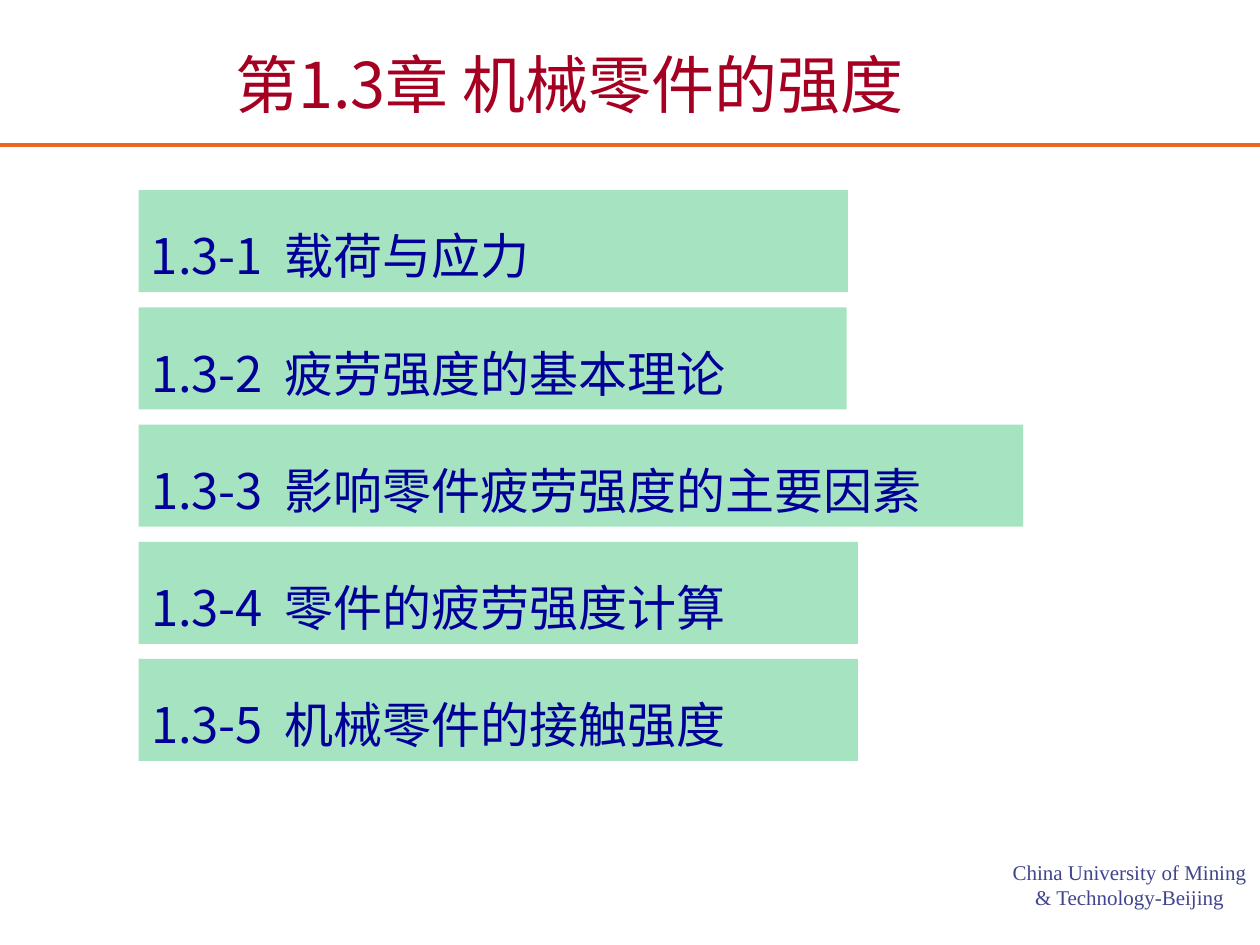
from lxml.etree import SubElement
from pptx import Presentation
from pptx.dml.color import RGBColor
from pptx.enum.shapes import MSO_CONNECTOR, MSO_SHAPE
from pptx.enum.text import MSO_ANCHOR, MSO_AUTO_SIZE, PP_ALIGN
from pptx.oxml.ns import qn
from pptx.util import Inches, Pt

SANS = "Noto Sans CJK SC"
TITLE = {"name": SANS, "size": Pt(36), "color": "A50021"}
ITEM = {"name": SANS, "size": Pt(28), "color": "000099"}
SCHOOL = {"name": "Times New Roman", "size": Pt(12), "color": "40458C"}
TOPICS = [
    ("载荷与应力", 56.3),
    ("疲劳强度的基本理论", 56.2),
    ("影响零件疲劳强度的主要因素", 70.2),
    ("零件的疲劳强度计算", 57.1),
    ("机械零件的接触强度", 57.1),
]


def tint(code):
    return RGBColor.from_string(code)


class Deck:
    unit = Inches(0.1)

    def __init__(self):
        self.deck = Presentation()
        self.deck.slide_width = Inches(10)
        self.deck.slide_height = Inches(7.5)
        self.slide = self.deck.slides.add_slide(self.deck.slide_layouts[6])
        self.shapes = self.slide.shapes

    def grid(self, *spans):
        return [round(span * self.unit) for span in spans]

    def fill_text(self, shape, text, style, frame, para):
        body = shape.text_frame
        for key, value in {"word_wrap": True, **frame}.items():
            setattr(body, key, value)
        line = body.paragraphs[0]
        for key, value in para.items():
            setattr(line, key, value)
        run = line.add_run()
        run.text = text
        for key, value in style.items():
            if key == "color":
                run.font.color.rgb = tint(value)
            else:
                setattr(run.font, key, value)
        SubElement(run.font._element, qn("a:ea")).set("typeface", style["name"])

    def label(self, area, text, style, frame, align):
        box = self.shapes.add_textbox(*self.grid(*area))
        self.fill_text(box, text, style, frame, {"alignment": align})

    def bar(self, area, text):
        box = self.shapes.add_shape(MSO_SHAPE.RECTANGLE, *self.grid(*area))
        box.shadow.inherit = False
        box.line.fill.background()
        box.fill.solid()
        box.fill.fore_color.rgb = tint("00B050")
        color = box._element.spPr.find(qn("a:solidFill"))[0]
        SubElement(color, qn("a:alpha")).set("val", "35000")
        frame = {"vertical_anchor": MSO_ANCHOR.TOP, "auto_size": MSO_AUTO_SIZE.SHAPE_TO_FIT_TEXT}
        self.fill_text(box, text, ITEM, frame, {"alignment": PP_ALIGN.LEFT, "line_spacing": 1.5})

    def rule(self, row):
        ends = self.grid(0, row, 100, row)
        line = self.shapes.add_connector(MSO_CONNECTOR.STRAIGHT, *ends)
        line.line.color.rgb = tint("EB6623")
        line.line.width = Pt(2.25)
        SubElement(line._element.spPr, qn("a:effectLst"))


def main():
    page = Deck()
    flat = {"margin_top": 0, "margin_bottom": 0}
    page.label((17.7, 3.6, 69.8, 5.8), "第1.3章 机械零件的强度", TITLE, flat, PP_ALIGN.LEFT)
    page.rule(11.5)
    for index, (topic, width) in enumerate(TOPICS):
        page.bar((11, 15.1 + 9.3 * index, width, 8.1), f"1.3-{index + 1}  {topic}")
    school = "China University of Mining & Technology-Beijing"
    page.label((79.3, 67.7, 20.7, 3.3), school, SCHOOL, {}, PP_ALIGN.CENTER)
    page.deck.save("out.pptx")


if __name__ == "__main__":
    main()
